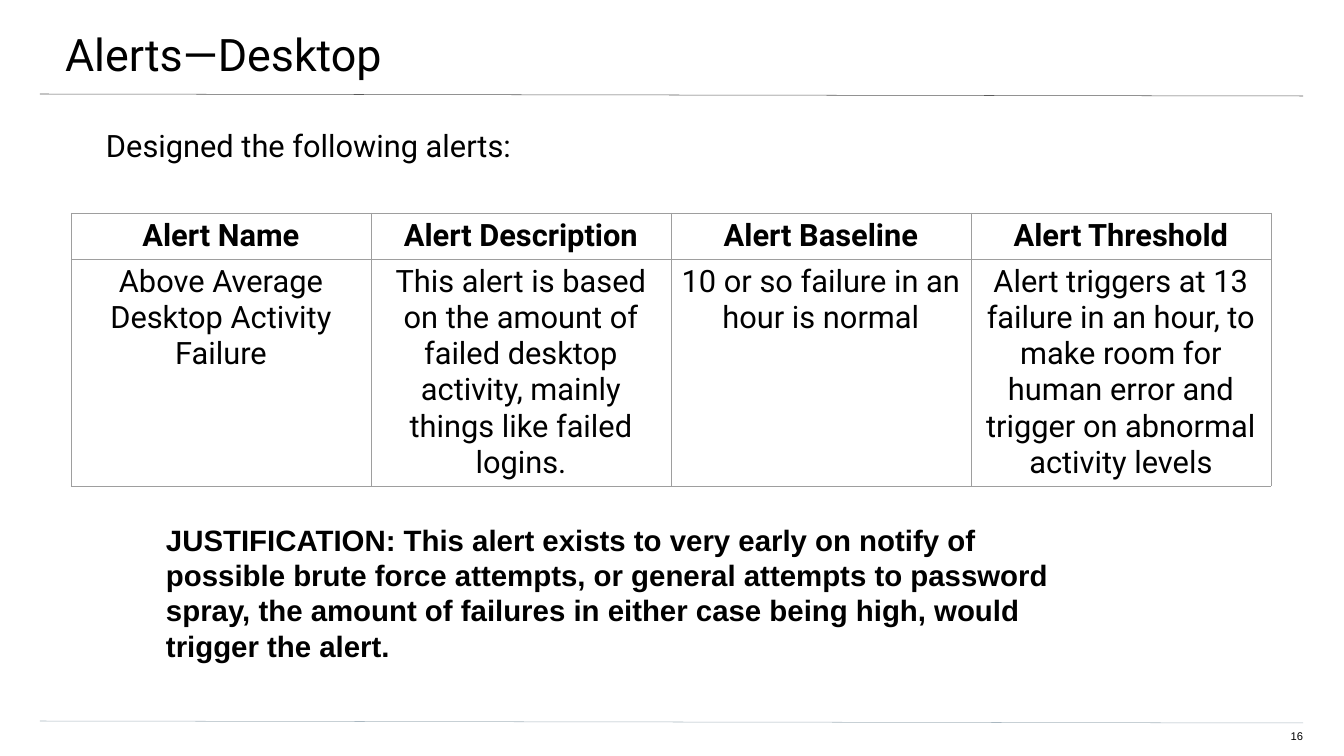
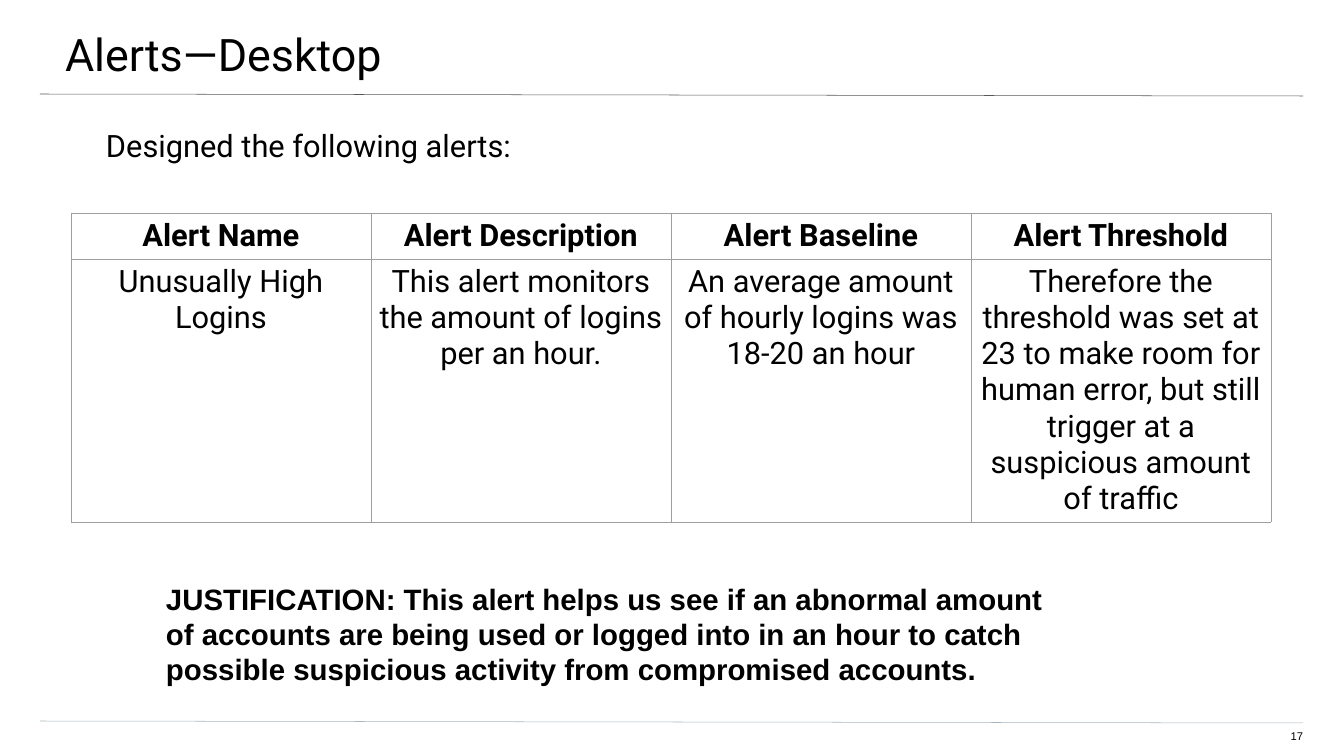
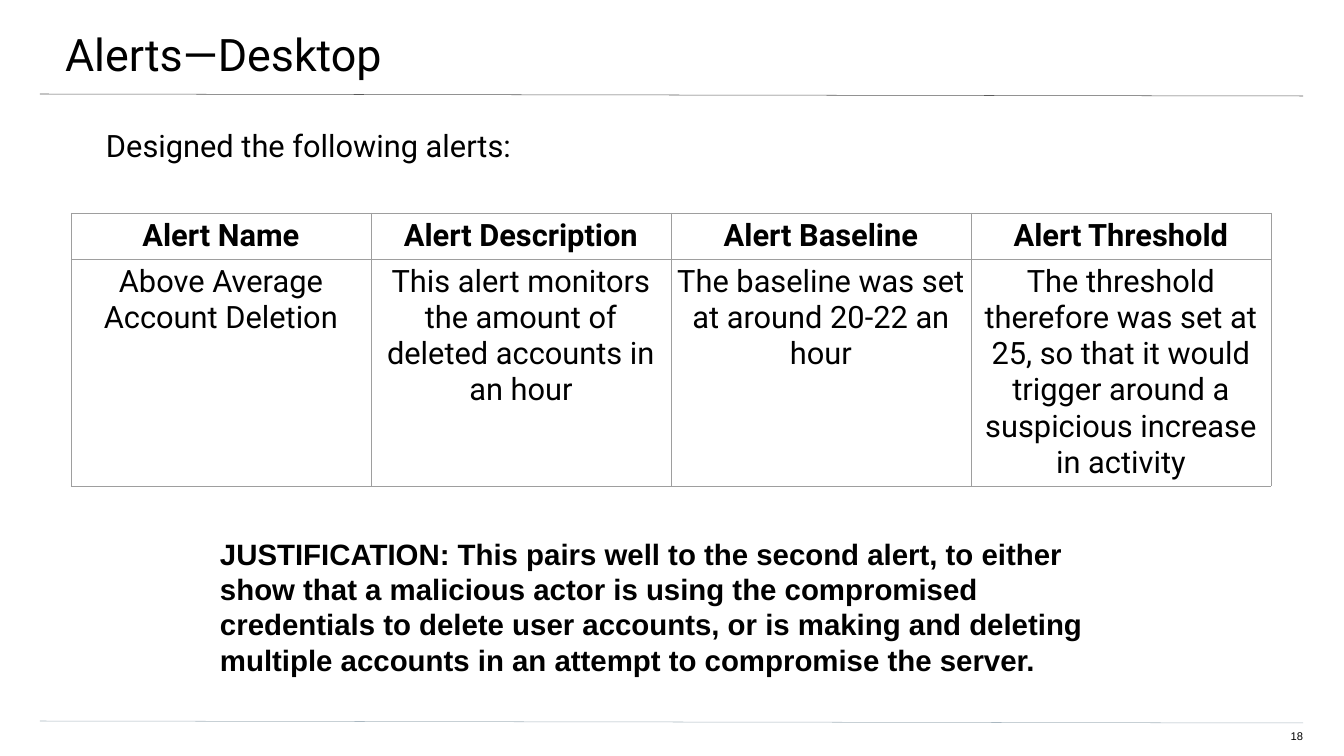
"""Build three alert slides, each with a table and a justification."""
from lxml import etree
from pptx import Presentation
from pptx import util as u
from pptx.dml.color import RGBColor
from pptx.enum import shapes, text
from pptx.oxml import parse_xml
from pptx.oxml.ns import nsdecls, qn

PX = 914400 / 50.4
BLACK, RULE_TOP, RULE_BOTTOM, BORDER = "000000", "595959", "A9B7C0", "9E9E9E"
HEADINGS = ["Alert Name", "Alert Description", "Alert Baseline", "Alert Threshold"]
HEADING_HEIGHT = 46
RULES = [(94, 96, RULE_TOP), (721, 723, RULE_BOTTOM)]
ALERTS = [
    (["Above Average Desktop Activity Failure",
      "This alert is based on the amount of failed desktop activity, mainly things like "
      "failed logins.",
      "10 or so failure in an hour is normal",
      "Alert triggers at 13 failure in an hour, to make room for human error and trigger "
      "on abnormal activity levels"],
     227, (161, 517, 913, 153),
     "JUSTIFICATION: This alert exists to very early on notify of possible brute force "
     "attempts, or general attempts to password spray, the amount of failures in either "
     "case being high, would trigger the alert."),
    (["Unusually High Logins",
      "This alert monitors the amount of logins per an hour.",
      "An average amount of hourly logins was 18-20 an hour",
      "Therefore the threshold was set at 23 to make room for human error, but still "
      "trigger at a suspicious amount of traffic"],
     263, (161, 576, 913, 117),
     "JUSTIFICATION: This alert helps us see if an abnormal amount of accounts are being "
     "used or logged into in an hour to catch possible suspicious activity from "
     "compromised accounts."),
    (["Above Average Account Deletion",
      "This alert monitors the amount of deleted accounts in an hour",
      "The baseline was set at around 20-22 an hour",
      "The threshold therefore was set at 25, so that it would trigger around a "
      "suspicious increase in activity"],
     227, (215, 531, 913, 153),
     "JUSTIFICATION: This pairs well to the second alert, to either show that a malicious "
     "actor is using the compromised credentials to delete user accounts, or is making "
     "and deleting multiple accounts in an attempt to compromise the server."),
]


def px(*lengths):
    return [u.Emu(round(length * PX)) for length in lengths]


def write(holder, frame, words, size, font, insets, bold=False, align=text.PP_ALIGN.LEFT):
    (holder.margin_left, holder.margin_top,
     holder.margin_right, holder.margin_bottom) = px(*insets)
    holder.vertical_anchor = text.MSO_ANCHOR.TOP
    frame.word_wrap = True
    para = frame.paragraphs[0]
    para.text = words
    para.alignment = align
    para.font.size = u.Pt(size)
    para.font.name = font
    para.font.bold = bold
    para.font.color.rgb = RGBColor.from_string(BLACK)


deck = Presentation()
deck.slide_width, deck.slide_height = px(1344, 756)

for number, (details, detail_height, place, reason) in enumerate(ALERTS, 16):
    page = deck.slides.add_slide(deck.slide_layouts[6])

    for start, end, colour in RULES:
        rule = page.shapes.add_connector(
            shapes.MSO_CONNECTOR.STRAIGHT, *px(40, start, 1303, end))
        rule.line.color.rgb = RGBColor.from_string(colour)
        rule.line.width = u.Pt(0.75)
        etree.SubElement(rule._element.spPr, qn("a:effectLst"))

    labels = [
        ((-2, 0, 1347, 79), "Alerts—Desktop", 64, "Roboto", (67, 27, 40, 0), False),
        ((1265, 729, 38, 16), str(number), 16, "Arial", (0, 0, 0, 0), False),
        ((39, 127, 1264, 544), "Designed the following alerts:", 44, "Roboto",
         (67, 0, 67, 0), False),
        (place, reason, 42, "Arial", (5, 5, 5, 5), True),
    ]
    for spot, words, size, font, insets, bold in labels:
        box = page.shapes.add_textbox(*px(*spot))
        box.text_frame.auto_size = text.MSO_AUTO_SIZE.NONE
        align = text.PP_ALIGN.RIGHT if words == str(number) else text.PP_ALIGN.LEFT
        write(box.text_frame, box.text_frame, words, size, font, insets, bold, align)

    table = page.shapes.add_table(
        2, 4, *px(71, 213, 1200, HEADING_HEIGHT + detail_height)).table
    table.first_row = table.horz_banding = False
    for row, height in zip(table.rows, px(HEADING_HEIGHT, detail_height)):
        row.height = height
    for row, entries in enumerate([HEADINGS, details]):
        for column, words in enumerate(entries):
            cell = table.cell(row, column)
            write(cell, cell.text_frame, words, 44, "Roboto", (5, 5, 5, 5),
                  row == 0, text.PP_ALIGN.CENTER)
            for side in "LRTB":
                cell._tc.get_or_add_tcPr().append(parse_xml(
                    f'<a:ln{side} {nsdecls("a")} w="{u.Pt(0.75)}"><a:solidFill>'
                    f'<a:srgbClr val="{BORDER}"/></a:solidFill></a:ln{side}>'))
            cell.fill.background()

deck.save("out.pptx")
